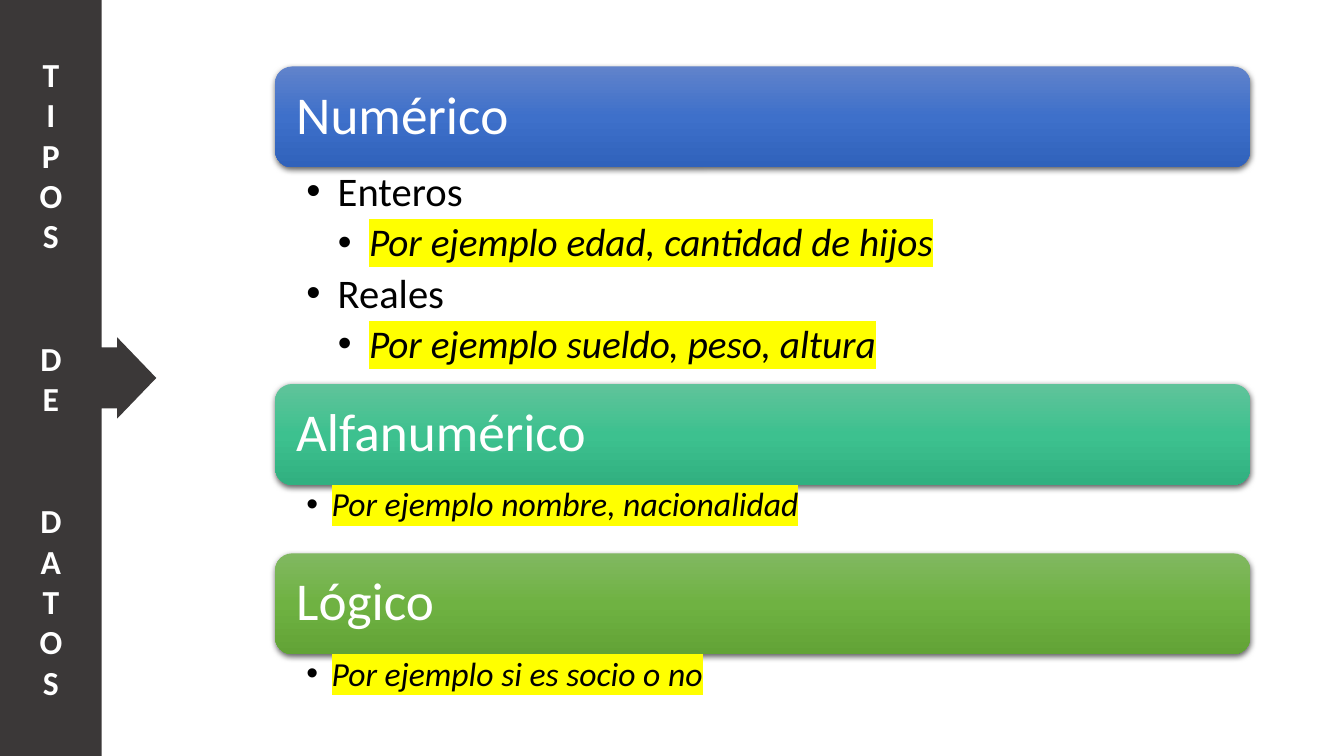
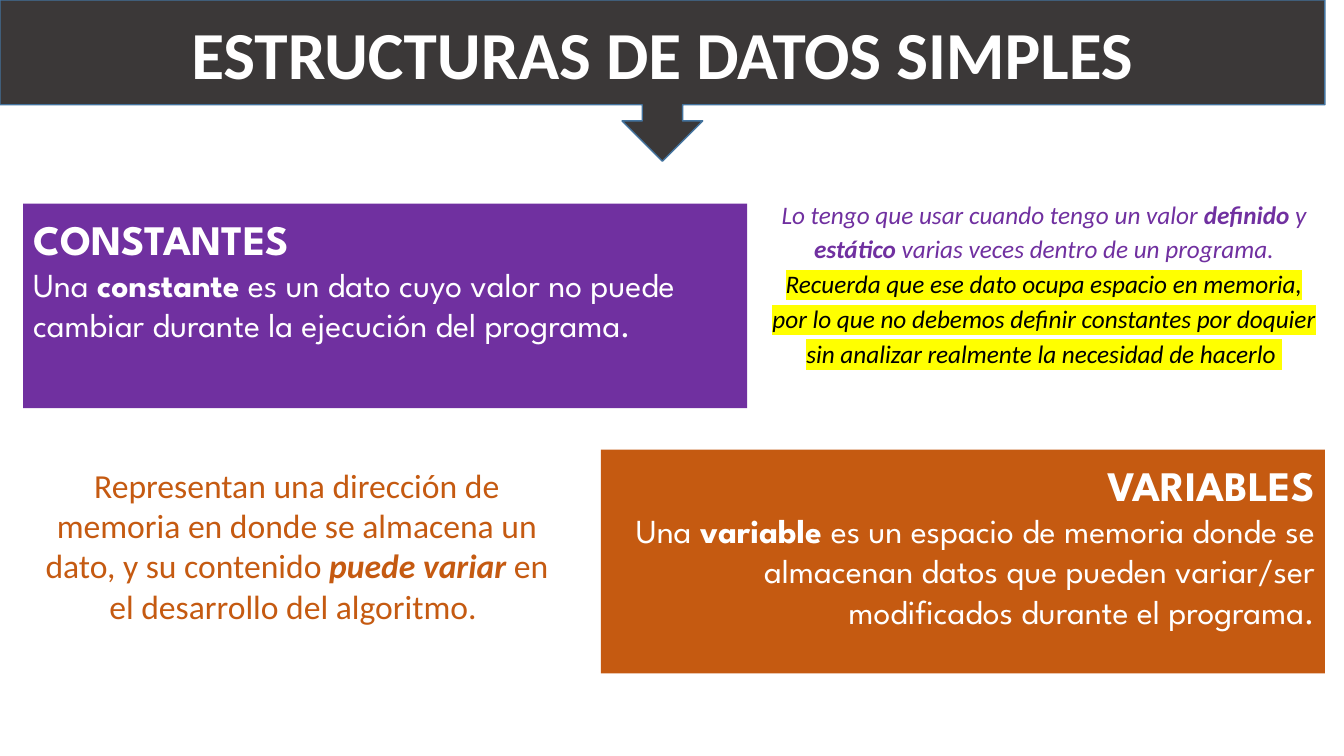
from copy import deepcopy

from lxml import etree
from pptx import Presentation
from pptx import util as u
from pptx.dml.color import RGBColor
from pptx.enum import shapes, text
from pptx.oxml.ns import qn

HUES = {
    "dark": "3B3838", "white": "FFFFFF", "black": "000000", "mark": "FFFF00",
    "edge": "43739E", "plum": "7030A0", "rust": "C55A11",
}
BLENDS = {
    "blue": ("6183CB", "3E70CA", "3062BB"),
    "teal": ("60C39A", "3DC18F", "31B080"),
    "green": ("81B861", "6FB242", "62A336"),
}
SANS, SHOW = "Calibri", "League Spartan"
KIND, ALIGN, ANCHOR = shapes.MSO_SHAPE, text.PP_ALIGN, text.MSO_ANCHOR


def rgb(name):
    return RGBColor.from_string(HUES.get(name, name))


def sub(node, tag, **attrs):
    return etree.SubElement(node, qn(tag), {k: str(v) for k, v in attrs.items()})


class Deck:
    """Holds the shared style and the current slide."""

    def __init__(self):
        self.prs = Presentation()
        self.prs.slide_width = u.Inches(13.33)
        self.prs.slide_height = u.Inches(7.5)
        self.slide = None

    def start(self, layout):
        self.slide = self.prs.slides.add_slide(self.prs.slide_layouts.get_by_name(layout))

    # Text
    def frame(self, item, pads=(0.1, 0.05, 0.1, 0.05), anchor=ANCHOR.TOP):
        tf = item.text_frame
        tf.word_wrap = True
        tf.auto_size = text.MSO_AUTO_SIZE.NONE
        tf.vertical_anchor = anchor
        tf.margin_left, tf.margin_top, tf.margin_right, tf.margin_bottom = map(u.Inches, pads)
        return tf

    def para(self, tf, runs, size, hue="white", align=ALIGN.LEFT, font=SANS,
             space=1.0, before=0, after=0):
        """Adds a paragraph; each run is (words, flags): b bold, i italic, h highlight."""
        first = tf.paragraphs[0]
        p = tf.add_paragraph() if first.runs else first
        p.alignment, p.line_spacing = align, space
        p.space_before, p.space_after = u.Pt(before), u.Pt(after)
        for words, flags in runs:
            r = p.add_run()
            r.text = words
            r.font.size, r.font.name = u.Pt(size), font
            r.font.bold, r.font.italic = "b" in flags, "i" in flags
            r.font.color.rgb = rgb(hue)
            if "h" in flags:
                mark = etree.Element(qn("a:highlight"))
                sub(mark, "a:srgbClr", val=HUES["mark"])
                r.font._element.find(qn("a:solidFill")).addnext(mark)
        return p

    def bullet(self, p, left, hang):
        props = p._p.get_or_add_pPr()
        props.set("marL", str(u.Inches(left)))
        props.set("indent", str(-u.Inches(hang)))
        sub(props, "a:buFont", typeface="Arial")
        sub(props, "a:buChar", char="•")

    # Placeholders
    def place(self, item, box):
        item.left, item.top, item.width, item.height = map(u.Inches, box)
        self.slide.shapes._spTree.append(item._element)  # bring to front
        return item

    def title(self, box, lines, size):
        """Writes the title; each line is (words, space before)."""
        tf = self.frame(self.place(self.slide.shapes.title, box), anchor=ANCHOR.MIDDLE)
        for words, gap in lines:
            self.para(tf, [(words, "b")], size, align=ALIGN.CENTER, before=gap)

    def points(self, slot, box, rows, step, pads):
        """Fills a body placeholder; each row is (level, words, flags, size)."""
        tf = self.frame(self.place(self.slide.placeholders[slot], box), pads)
        for level, words, flags, size in rows:
            p = self.para(tf, [(words, flags)], size, "black", space=0.9, after=5.5)
            p.level = level
            self.bullet(p, step * level, step)

    def prune(self):
        for item in list(self.slide.placeholders):
            if not item.text_frame.text:
                item._element.getparent().remove(item._element)

    # Shapes
    def shape(self, kind, box, fill=None, edge=None):
        item = self.slide.shapes.add_shape(kind, *map(u.Inches, box))
        item.shadow.inherit = False
        if fill:
            item.fill.solid()
            item.fill.fore_color.rgb = rgb(fill)
        if edge:
            item.line.color.rgb = rgb(edge)
            item.line.width = u.Pt(1)
        else:
            item.line.fill.background()
        return item

    def bar(self, box, words, blend):
        item = self.shape(KIND.ROUNDED_RECTANGLE, box)
        item.fill.gradient()
        item.fill.gradient_angle = 270
        props = item._element.spPr
        stops = props.find(".//" + qn("a:gsLst"))
        stops.insert(1, deepcopy(stops[0]))
        for stop, hue, spot in zip(item.fill.gradient_stops, BLENDS[blend], (0, 0.5, 1)):
            stop.color.rgb = rgb(hue)
            stop.position = spot
        shade = sub(props.find(qn("a:effectLst")), "a:outerShdw", blurRad=u.Pt(4.5),
                    dist=u.Pt(1.5), dir=5400000, algn="ctr", rotWithShape=0)
        sub(sub(shade, "a:srgbClr", val=HUES["black"]), "a:alpha", val=63000)
        tf = self.frame(item, (0.16,) * 4, ANCHOR.MIDDLE)
        self.para(tf, [(words, "")], 38, space=0.9)

    def panel(self, box, fill, head, runs, align):
        tf = self.frame(self.shape(KIND.RECTANGLE, box, fill), (0.1,) * 4)
        self.para(tf, [(head, "b")], 30, align=align, font=SHOW)
        self.para(tf, runs, 24, align=align, font=SHOW)

    def note(self, box, paras, size, space=1.0):
        tf = self.frame(self.slide.shapes.add_textbox(*map(u.Inches, box)))
        for hue, runs in paras:
            self.para(tf, runs, size, hue, ALIGN.CENTER, space=space)


def types(deck):
    deck.start("Comparison")

    # Bars, each with its list below
    top, left, width, tall = 0.66, 2.73, 9.67, 1
    wide, slim = (0.31, 0.04, 0.22, 0.04), (0.31, 0.03, 0.19, 0.03)
    groups = [
        ("Numérico", "blue", 2.15, 0.31, wide, [
            (1, "Enteros", "", 29),
            (2, "Por ejemplo edad, cantidad de hijos", "ih", 28),
            (1, "Reales", "", 29),
            (2, "Por ejemplo sueldo, peso, altura", "ih", 28)]),
        ("Alfanumérico", "teal", 0.68, 0.25, slim, [
            (1, "Por ejemplo nombre, nacionalidad", "ih", 24)]),
        ("Lógico", "green", 0.68, 0.25, slim, [
            (1, "Por ejemplo si es socio o no", "ih", 24)]),
    ]
    for slot, (words, blend, deep, step, pads, rows) in enumerate(groups, 1):
        deck.bar((left, top, width, tall), words, blend)
        deck.points(slot, (left, top + tall, width, deep), rows, step, pads)
        top += tall + deep

    # Side band with the title set letter by letter
    band = deck.shape(KIND.RIGHT_ARROW_CALLOUT, (0, 0, 1.55, 7.5), "dark")
    for i, value in enumerate((0.39, 0.26, 0.25, 0.65)):
        band.adjustments[i] = value
    lines = [(char, 58.6 if w and not i else 0)
             for w, word in enumerate(("TIPOS", "DE", "DATOS"))
             for i, char in enumerate(word)]
    deck.title((0, 0, 1.01, 7.5), lines, 24)
    deck.prune()


def simple(deck):
    deck.start("Title Only")

    # Panels
    deck.panel((0.23, 2.02, 7.18, 2.03), "plum", "CONSTANTES", [
        ("Una ", ""), ("constante", "b"),
        (" es un dato cuyo valor no puede cambiar durante la ejecución del programa.", ""),
    ], ALIGN.LEFT)
    deck.panel((5.96, 4.46, 7.18, 2.22), "rust", "VARIABLES", [
        ("Una ", ""), ("variable ", "b"),
        ("es un espacio de memoria donde se almacenan datos que pueden "
         "variar/ser modificados durante el programa.", ""),
    ], ALIGN.RIGHT)

    # Top band and title
    deck.shape(KIND.DOWN_ARROW_CALLOUT, (0, 0, 13.14, 1.6), "dark", "edge")
    deck.title((0, 0, 13.14, 1.04), [("ESTRUCTURAS DE DATOS SIMPLES", 0)], 48)

    # Notes beside the panels
    deck.note((7.56, 1.88, 5.59, 2.17), [
        ("plum", [("Lo tengo que usar cuando tengo un valor ", "i"), ("definido", "bi"),
                  (" y ", "i"), ("estático", "bi"),
                  (" varias veces dentro de un programa.", "i")]),
        ("black", [("Recuerda que ese dato ocupa espacio en memoria, por lo que no "
                    "debemos definir constantes por doquier sin analizar realmente "
                    "la necesidad de hacerlo ", "ih")]),
    ], 18, 1.15)
    deck.note((0.23, 4.56, 5.43, 1.72), [
        ("rust", [("Representan una dirección de memoria en donde se almacena un dato, "
                   "y su contenido ", ""), ("puede variar ", "bi"),
                  ("en el desarrollo del algoritmo. ", "")]),
    ], 24)


def main():
    deck = Deck()
    types(deck)
    simple(deck)
    deck.prs.save("out.pptx")


if __name__ == "__main__":
    main()
